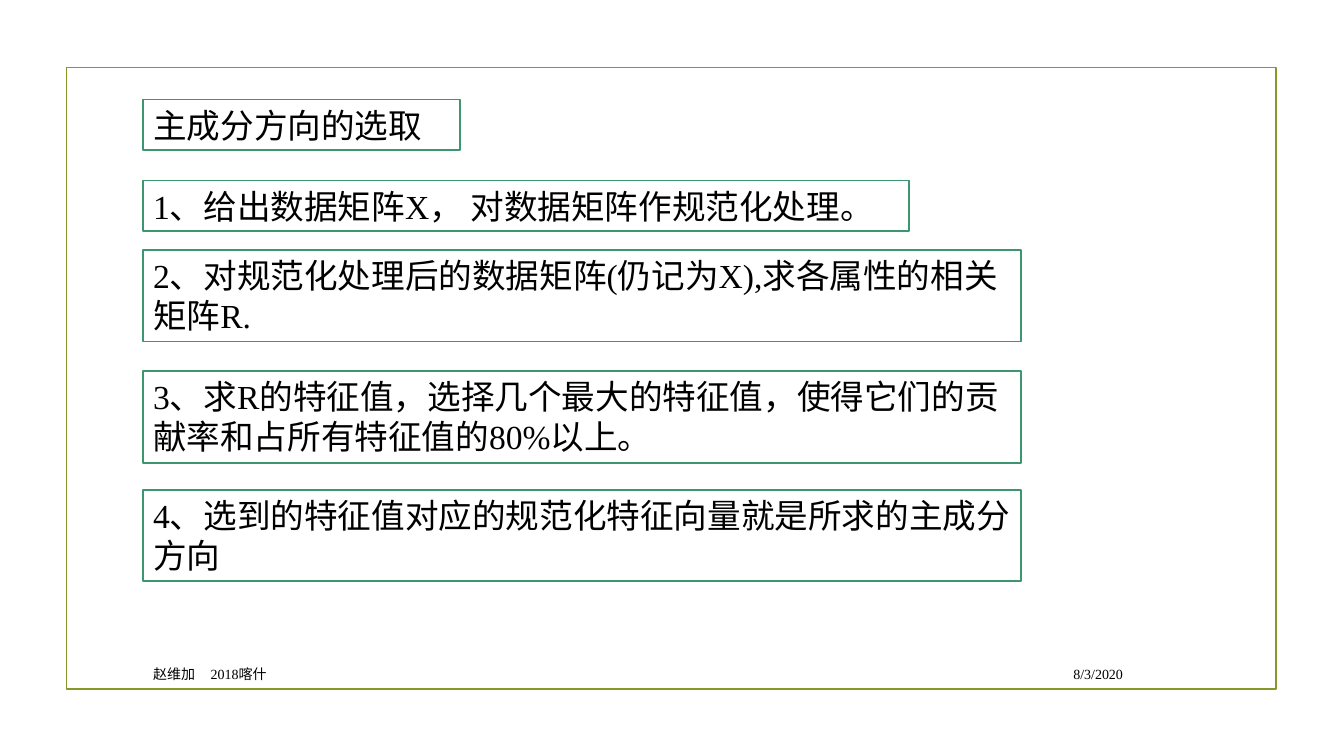
from dataclasses import dataclass

from lxml.etree import SubElement
from pptx import Presentation
from pptx.dml.color import RGBColor
from pptx.enum.shapes import MSO_SHAPE
from pptx.enum.text import MSO_ANCHOR, MSO_AUTO_SIZE, PP_ALIGN
from pptx.oxml.ns import qn
from pptx.util import Cm, Pt


@dataclass(frozen=True)
class Theme:
    font: str = "Times New Roman"
    body: Pt = Pt(24)
    small: Pt = Pt(10)
    rule: Pt = Pt(1.25)
    ink: RGBColor = RGBColor(0x00, 0x00, 0x00)
    paper: RGBColor = RGBColor(0xFF, 0xFF, 0xFF)
    frame: RGBColor = RGBColor(0x83, 0x99, 0x2A)
    box: RGBColor = RGBColor(0x3C, 0x97, 0x70)


THEME = Theme()
FRAME = (1.68, 1.7, 30.48, 15.67)  # left, top, width, height in cm
INDENT = 1.93                      # text column, from the frame's left
LINE_HEIGHT, PADDING = 1.03, 0.25  # height of a box grows by its lines

TITLE = "主成分方向的选取"
# text, top within the frame, width, lines
STEPS = [
    ("1、给出数据矩阵X， 对数据矩阵作规范化处理。", 2.85, 19.3, 1),
    ("2、对规范化处理后的数据矩阵(仍记为X),求各属性的相关矩阵R.", 4.6, 22.12, 2),
    ("3、求R的特征值，选择几个最大的特征值，使得它们的贡献率和占所有特征值的80%以上。", 7.65, 22.12, 2),
    ("4、选到的特征值对应的规范化特征向量就是所求的主成分方向", 10.64, 22.12, 2),
]


def set_text(sp, text, size, align=PP_ALIGN.LEFT, anchor=MSO_ANCHOR.TOP, tab=None):
    tf = sp.text_frame
    frame_format = {"word_wrap": True, "auto_size": MSO_AUTO_SIZE.NONE,
                    "vertical_anchor": anchor}
    for name, value in frame_format.items():
        setattr(tf, name, value)
    p = tf.paragraphs[0]
    p.alignment = align
    if tab is not None:
        tabs = SubElement(p._p.get_or_add_pPr(), qn("a:tabLst"))
        SubElement(tabs, qn("a:tab"), pos=str(Cm(tab)), algn="l")
    r = p.add_run()
    r.text = text
    for name, value in {"name": THEME.font, "size": size, "bold": False}.items():
        setattr(r.font, name, value)
    r.font.color.rgb = THEME.ink


def set_outline(sp, color):
    sp.line.color.rgb = color
    sp.line.width = THEME.rule


def fill_box(sp, text):
    sp.fill.solid()
    sp.fill.fore_color.rgb = THEME.paper
    set_outline(sp, THEME.box)
    set_text(sp, text, THEME.body)


def box_height(lines):
    return Cm(PADDING + LINE_HEIGHT * lines)


def add_frame(s, box):
    sp = s.shapes.add_shape(MSO_SHAPE.RECTANGLE, *map(Cm, box))
    sp.shadow.inherit = False
    sp.fill.background()
    set_outline(sp, THEME.frame)


def add_title(s, box):
    left, top, _, _ = box
    sp = s.shapes.title
    place = {"left": Cm(left + INDENT), "top": Cm(top + 0.81),
             "width": Cm(7.98), "height": box_height(1)}
    for name, value in place.items():
        setattr(sp, name, value)
    fill_box(sp, TITLE)


def add_steps(s, box):
    left, top, _, _ = box
    for text, offset, width, lines in STEPS:
        sp = s.shapes.add_shape(MSO_SHAPE.RECTANGLE, Cm(left + INDENT),
                                Cm(top + offset), Cm(width), box_height(lines))
        sp.shadow.inherit = False
        fill_box(sp, text)


def add_footer(s, box):
    left, top, _, height = box
    row_height = 0.79
    row_top = top + height - row_height
    parts = [
        ("8/3/2020", 22.42, 4.45, PP_ALIGN.RIGHT, None),
        ("赵维加\t2018喀什", INDENT, 20.29, PP_ALIGN.LEFT, 1.45),
    ]
    for text, offset, width, align, tab in parts:
        sp = s.shapes.add_textbox(Cm(left + offset), Cm(row_top),
                                  Cm(width), Cm(row_height))
        set_text(sp, text, THEME.small, align, MSO_ANCHOR.MIDDLE, tab)


def main():
    prs = Presentation()
    prs.slide_width, prs.slide_height = Cm(33.87), Cm(19.05)
    s = prs.slides.add_slide(prs.slide_layouts[5])
    for add_part in (add_frame, add_title, add_steps, add_footer):
        add_part(s, FRAME)
    prs.save("out.pptx")


if __name__ == "__main__":
    main()
